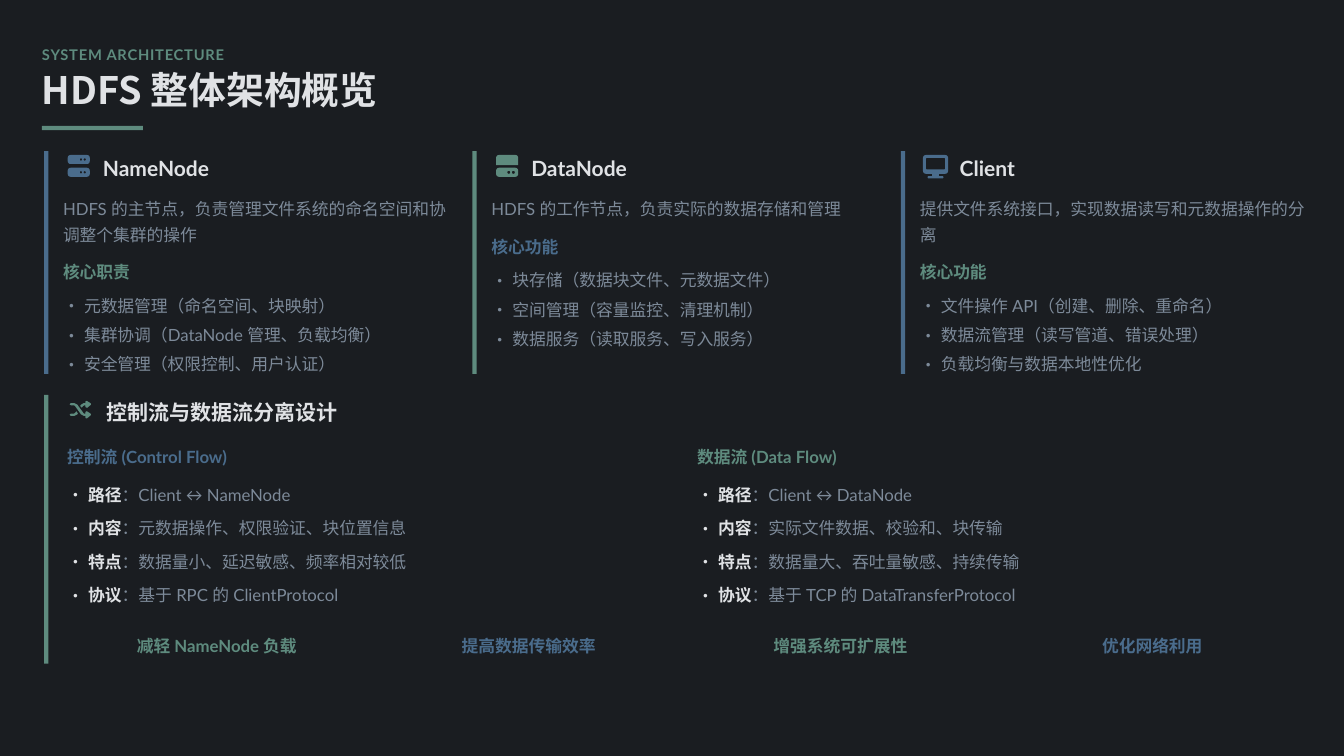
from math import cos, pi, sin

from lxml.etree import SubElement
from pptx import Presentation
from pptx.dml.color import RGBColor
from pptx.enum.shapes import MSO_SHAPE
from pptx.enum.text import MSO_ANCHOR, PP_ALIGN
from pptx.oxml.ns import qn
from pptx.util import Pt

NIGHT = RGBColor(0x1A, 0x1D, 0x21)
GREEN = RGBColor(0x5E, 0x8B, 0x7E)
BLUE = RGBColor(0x4A, 0x6C, 0x8C)
WHITE = RGBColor(0xE0, 0xE2, 0xE5)
GREY = RGBColor(0x7D, 0x8A, 0x99)
LATIN_FONT = "Lato"
CHINESE_FONT = "Noto Sans CJK SC"

CARD_PITCH, CARD_TOP, CARD_HEIGHT, CARD_TEXT_WIDTH = 408, 144, 212, 372
FLOW_TOP, FLOW_HEIGHT, FLOW_PITCH = 376, 256, 600
LINE_HEIGHT = 24

# Card: name, name width, accent, heading colour, lines of the summary, summary, heading, items
CARDS = [
    ("NameNode", 113, BLUE, GREEN, 2, "HDFS 的主节点，负责管理文件系统的命名空间和协调整个集群的操作", "核心职责",
     ["元数据管理（命名空间、块映射）", "集群协调（DataNode 管理、负载均衡）", "安全管理（权限控制、用户认证）"]),
    ("DataNode", 102, GREEN, BLUE, 1, "HDFS 的工作节点，负责实际的数据存储和管理", "核心功能",
     ["块存储（数据块文件、元数据文件）", "空间管理（容量监控、清理机制）", "数据服务（读取服务、写入服务）"]),
    ("Client", 63, BLUE, GREEN, 2, "提供文件系统接口，实现数据读写和元数据操作的分离", "核心功能",
     ["文件操作 API（创建、删除、重命名）", "数据流管理（读写管道、错误处理）", "负载均衡与数据本地性优化"]),
]
FLOW_LABELS = ["路径", "内容", "特点", "协议"]
FLOWS = [
    ("控制流 (Control Flow)", BLUE,
     ["Client ↔ NameNode", "元数据操作、权限验证、块位置信息", "数据量小、延迟敏感、频率相对较低", "基于 RPC 的 ClientProtocol"]),
    ("数据流 (Data Flow)", GREEN,
     ["Client ↔ DataNode", "实际文件数据、校验和、块传输", "数据量大、吞吐量敏感、持续传输", "基于 TCP 的 DataTransferProtocol"]),
]
BENEFITS = ["减轻 NameNode 负载", "提高数据传输效率", "增强系统可扩展性", "优化网络利用"]


def add_bullet(para, indent=20):
    props = para._p.get_or_add_pPr()
    props.set("marL", str(Pt(indent)))
    props.set("indent", str(-Pt(indent)))
    SubElement(props, qn("a:buFont")).set("typeface", CHINESE_FONT)
    SubElement(props, qn("a:buChar")).set("char", "•")


def add_text(page, text, left, top, width, height, size=16, color=GREY, bold=False,
             font=LATIN_FONT, spacing=1.3, align=PP_ALIGN.LEFT, wrap=True,
             bullet=False, tracking=None, label=None):
    """Add one line or paragraph; label is a bold white lead-in before the text."""
    box = page.shapes.add_textbox(Pt(left), Pt(top), Pt(width), Pt(height))
    frame = box.text_frame
    frame.margin_left = frame.margin_right = frame.margin_top = frame.margin_bottom = 0
    frame.vertical_anchor = MSO_ANCHOR.MIDDLE
    frame.word_wrap = wrap
    para = frame.paragraphs[0]
    if bullet:
        add_bullet(para)
    para.line_spacing = spacing
    para.alignment = align
    spans = [(text, color, bold)]
    if label:
        spans.insert(0, (label, WHITE, True))
    for words, span_color, span_bold in spans:
        span = para.add_run()
        span.text = words
        span.font.size = Pt(size)
        span.font.bold = span_bold
        span.font.color.rgb = span_color
        span.font.name = font
        props = span._r.get_or_add_rPr()
        SubElement(props, qn("a:ea")).set("typeface", font)
        if tracking:
            props.set("spc", str(round(tracking * 100)))


def paint(shape, color):
    shape.shadow.inherit = False
    shape.fill.solid()
    shape.fill.fore_color.rgb = color
    shape.line.fill.background()


def add_bar(page, left, top, width, height, color):
    paint(page.shapes.add_shape(MSO_SHAPE.RECTANGLE, Pt(left), Pt(top), Pt(width), Pt(height)), color)


def rounded(left, top, width, height, upper, lower=None):
    """Outline of a rectangle with one radius for the upper and one for the lower corners."""
    lower = upper if lower is None else lower
    right, bottom = left + width, top + height
    corners = [
        (left + upper, top + upper, upper, 2), (right - upper, top + upper, upper, 3),
        (right - lower, bottom - lower, lower, 0), (left + lower, bottom - lower, lower, 1),
    ]
    return [(x + radius * cos(pi / 2 * (quarter + step / 4)), y + radius * sin(pi / 2 * (quarter + step / 4)))
            for x, y, radius, quarter in corners for step in range(5)]


def dot(left, top, size):
    return rounded(left, top, size, size, size / 2)


def add_icon(page, left, top, outlines, color):
    """Draw outlines as one shape; an outline inside another is a hole."""
    places = [[(Pt(left + x), Pt(top + y)) for x, y in outline] for outline in outlines]
    builder = page.shapes.build_freeform(*places[0][0])
    for number, points in enumerate(places):
        if number:
            builder.move_to(*points[0])
        builder.add_line_segments(points[1:], close=True)
    paint(builder.convert_to_shape(), color)


def server_icon():
    return [outline for top in (0, 12.2) for outline in (
        rounded(0, top, 21, 8.6, 2.7), dot(11.5, top + 3.2, 2.2), dot(15.1, top + 3.2, 2.2))]


def disk_icon():
    return [rounded(0, 0, 21, 9.8, 2.7, 0), rounded(0, 12.2, 21, 8.6, 2.7),
            dot(10.6, 15.1, 2.9), dot(15, 15.1, 2.9)]


def screen_icon():
    return [rounded(0, 0, 24, 18, 2.9), rounded(2.9, 2.9, 18.2, 10.8, 0.8),
            rounded(8.8, 18, 6.4, 2.2, 0), rounded(4.4, 20.2, 15.2, 2.2, 1.1)]


def shuffle_icon():
    return [
        [(15.1, 0.7), (16.3, 0.1), (20.1, 2.5), (20.2, 3.9), (16.6, 6.9), (15.1, 6), (15.1, 4.5),
         (13.7, 4.5), (12.9, 5.1), (11.5, 6.7), (10.1, 5), (10.9, 3.8), (13.4, 2.3), (15.1, 2.3)],
        [(6.5, 10.1), (7.9, 12.2), (7.2, 13.2), (4.4, 14.5), (1.2, 14.5), (0, 13.4), (1.2, 12.3),
         (4.3, 12.3), (5.1, 11.6)],
        [(20.2, 13.8), (16.6, 16.8), (15.5, 16.8), (15.1, 16), (15.1, 14.5), (13.5, 14.5), (10.8, 13),
         (5.1, 5), (4.3, 4.4), (1.2, 4.4), (0, 3.4), (1.2, 2.3), (4.4, 2.3), (7.2, 3.6), (13, 11.5),
         (13.7, 12.3), (15.1, 12.3), (15.1, 10.8), (16.4, 10), (20.1, 12.4)],
    ]


def add_header(page):
    add_text(page, "SYSTEM ARCHITECTURE", 40, 40, 1207, 20, size=14, color=GREEN, bold=True,
             spacing=1.2, tracking=0.7)
    add_text(page, "HDFS 整体架构概览", 40, 68, 1218, 40, size=36, color=WHITE, bold=True,
             font=CHINESE_FONT, spacing=0.9)
    add_bar(page, 40, 120, 96, 4, GREEN)


def add_section_name(page, text, left, top, width):
    add_text(page, text, left, top, width, 28, size=20, color=WHITE, bold=True, spacing=1.2, wrap=False)


def add_card(page, shift, card, icon, icon_left):
    name, name_width, accent, heading_color, lines, summary, heading, items = card
    left = 60 + shift
    add_bar(page, 42 + shift, CARD_TOP, 4, CARD_HEIGHT, accent)
    add_icon(page, icon_left + shift, CARD_TOP + 3.6, icon, accent)
    add_section_name(page, name, 98 + shift, CARD_TOP, name_width)
    top = CARD_TOP + 40
    add_text(page, summary, left, top, CARD_TEXT_WIDTH, lines * LINE_HEIGHT)
    top += lines * LINE_HEIGHT + 12
    add_text(page, heading, left, top, CARD_TEXT_WIDTH, LINE_HEIGHT, color=heading_color, bold=True)
    for row, item in enumerate(items):
        add_text(page, item, left, top + 32 + row * 28, CARD_TEXT_WIDTH, LINE_HEIGHT, bullet=True)


def add_flow(page, left, heading, color, details):
    add_text(page, heading, left, FLOW_TOP + 44, 584, LINE_HEIGHT, color=color, bold=True)
    for row, (label, detail) in enumerate(zip(FLOW_LABELS, details)):
        add_text(page, "：" + detail, left, FLOW_TOP + 80 + row * 32, 584, LINE_HEIGHT,
                 bullet=True, label=label)


def main():
    deck = Presentation()
    deck.slide_width, deck.slide_height = Pt(1280), Pt(720)
    page = deck.slides.add_slide(deck.slide_layouts[6])
    page.background.fill.solid()
    page.background.fill.fore_color.rgb = NIGHT

    add_header(page)
    icons = [(server_icon(), 64.5), (disk_icon(), 64.5), (screen_icon(), 63)]
    for column, (card, (icon, icon_left)) in enumerate(zip(CARDS, icons)):
        add_card(page, column * CARD_PITCH, card, icon, icon_left)

    add_bar(page, 42, FLOW_TOP, 4, FLOW_HEIGHT, GREEN)
    add_icon(page, 66.3, FLOW_TOP + 5.6, shuffle_icon(), GREEN)
    add_section_name(page, "控制流与数据流分离设计", 101, FLOW_TOP, 230)
    for column, flow in enumerate(FLOWS):
        add_flow(page, 64 + column * FLOW_PITCH, *flow)
    for column, benefit in enumerate(BENEFITS):
        add_text(page, benefit, 60 + column * 297, FLOW_TOP + 224, 293, LINE_HEIGHT,
                 color=(GREEN, BLUE)[column % 2], bold=True, align=PP_ALIGN.CENTER)
    deck.save("out.pptx")


if __name__ == "__main__":
    main()
